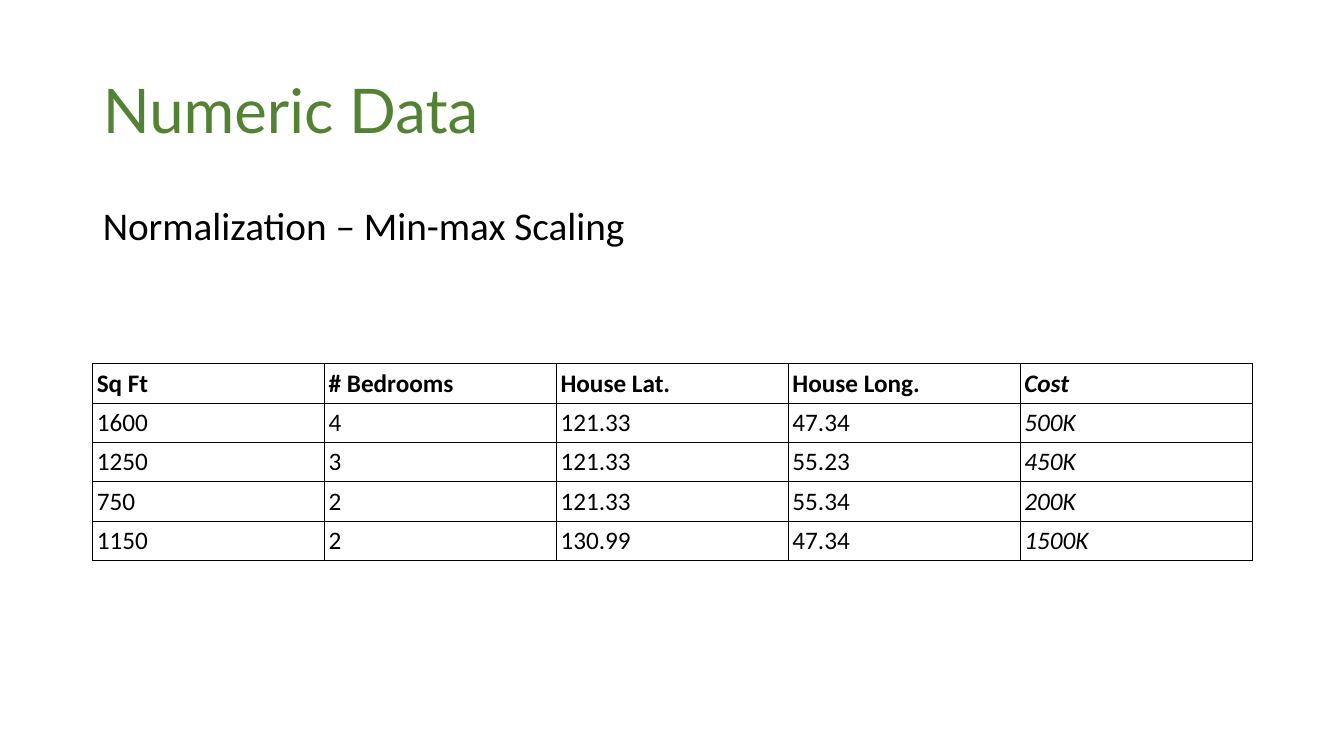
"""Build the Numeric Data slide on min-max scaling."""
from lxml.etree import SubElement
from pptx import Presentation
from pptx.dml.color import RGBColor
from pptx.enum.text import MSO_ANCHOR, MSO_AUTO_SIZE, PP_ALIGN
from pptx.oxml.ns import qn
from pptx.util import Inches, Pt


def color(value):
    return RGBColor.from_string(value)


def write(frame, text, size, font="Calibri", fill="000000", bold=False,
          italic=False, spacing=1.0):
    frame.text = text
    paragraph = frame.paragraphs[0]
    paragraph.alignment = PP_ALIGN.LEFT
    paragraph.line_spacing = spacing
    paragraph.space_before = Pt(0)
    face = paragraph.runs[0].font
    face.name, face.size, face.bold, face.italic = font, Pt(size), bold, italic
    face.color.rgb = color(fill)
    return paragraph


deck = Presentation()
deck.slide_width, deck.slide_height = Inches(13.33), Inches(7.5)
slide = deck.slides.add_slide(deck.slide_layouts[1])
slide.background.fill.solid()
slide.background.fill.fore_color.rgb = color("FFFFFF")

margin = Inches(0.92)
content_width = Inches(11.5)

title, body = slide.placeholders
for holder, top, height in ((title, 0.4, 1.45), (body, 2, 4.76)):
    holder.left, holder.top = margin, Inches(top)
    holder.width, holder.height = content_width, Inches(height)
    holder.text_frame.auto_size = MSO_AUTO_SIZE.NONE
title.text_frame.vertical_anchor = MSO_ANCHOR.MIDDLE
write(title.text_frame, "Numeric Data", 44, font="Lato", fill="548235", spacing=0.9)

subtitle = write(body.text_frame, "Normalization – Min-max Scaling", 28, spacing=0.9)
subtitle_format = subtitle._p.get_or_add_pPr()
subtitle_format.set("marL", "0")
subtitle_format.set("indent", "0")
SubElement(subtitle_format, qn("a:buNone"))

houses = [
    ["Sq Ft", "# Bedrooms", "House Lat.", "House Long.", "Cost"],
    ["1600", "4", "121.33", "47.34", "500K"],
    ["1250", "3", "121.33", "55.23", "450K"],
    ["750", "2", "121.33", "55.34", "200K"],
    ["1150", "2", "130.99", "47.34", "1500K"],
]
cost_column = len(houses[0]) - 1
row_height = Inches(0.39)
house_table = slide.shapes.add_table(
    len(houses), len(houses[0]), margin, Inches(3.61),
    content_width, row_height * len(houses)).table
house_table.horz_banding = False

for row, house in enumerate(houses):
    house_table.rows[row].height = row_height
    for column, value in enumerate(house):
        cell = house_table.cell(row, column)
        cell.margin_left = cell.margin_right = Inches(0.04)
        cell.margin_top = cell.margin_bottom = Inches(0.04)
        cell.vertical_anchor = MSO_ANCHOR.MIDDLE
        write(cell.text_frame, value, 18, bold=row == 0, italic=column == cost_column)
        cell_format = cell._tc.get_or_add_tcPr()
        for side in ("a:lnL", "a:lnR", "a:lnT", "a:lnB"):
            border = SubElement(cell_format, qn(side), w=str(Pt(0.75)))
            border_fill = SubElement(border, qn("a:solidFill"))
            SubElement(border_fill, qn("a:srgbClr"), val="000000")
        cell.fill.solid()
        cell.fill.fore_color.rgb = color("FFFFFF")

deck.save("out.pptx")
